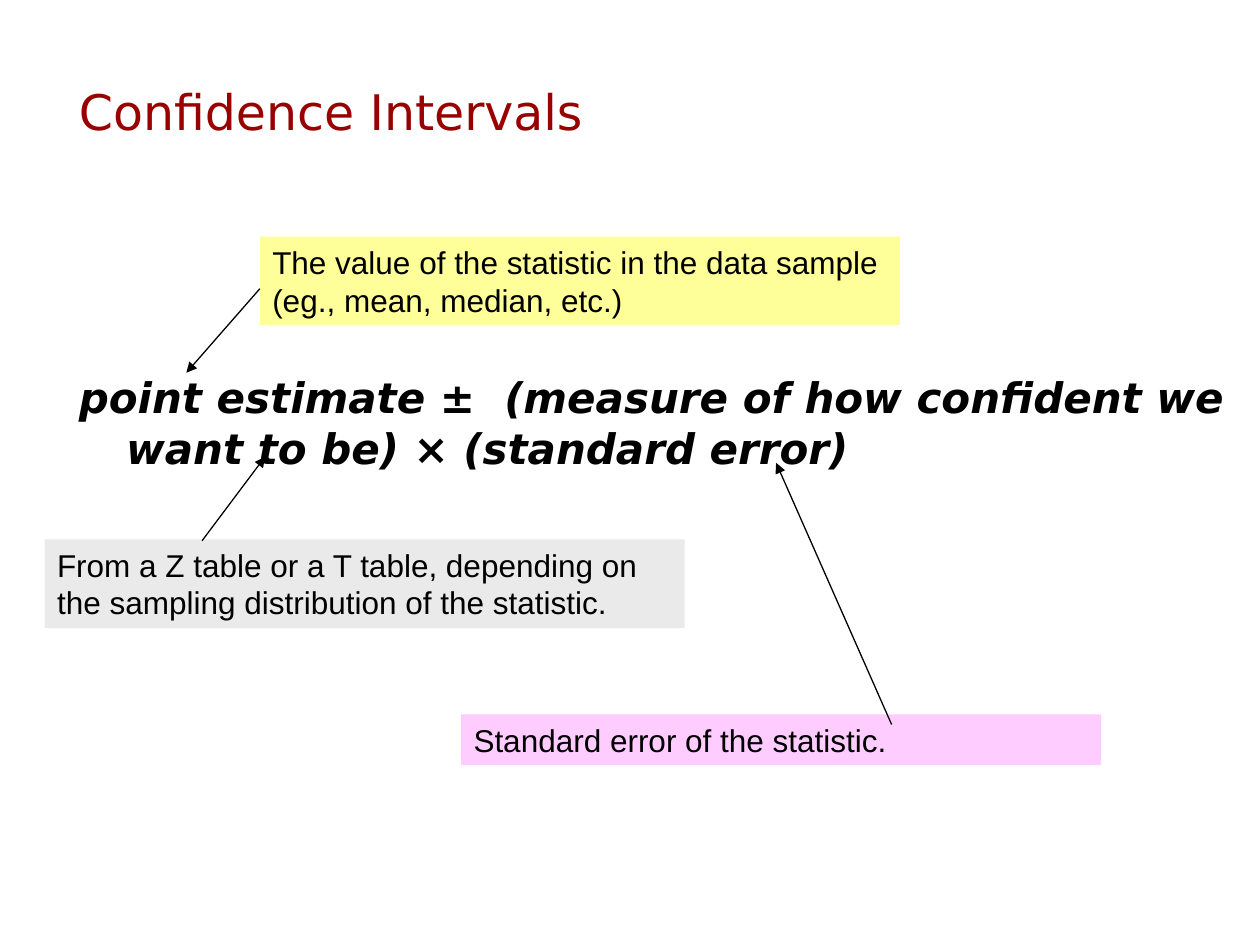
from typing import NamedTuple

from lxml import etree
from pptx import Presentation
from pptx.dml.color import RGBColor
from pptx.enum.shapes import MSO_CONNECTOR, MSO_SHAPE
from pptx.enum.text import MSO_ANCHOR, PP_ALIGN
from pptx.oxml.ns import qn
from pptx.util import Pt

RECT = MSO_SHAPE.RECTANGLE
STRAIGHT = MSO_CONNECTOR.STRAIGHT
TOP, MIDDLE = MSO_ANCHOR.TOP, MSO_ANCHOR.MIDDLE
LEFT = PP_ALIGN.LEFT

COLORS = {
    "title": "990000",
    "ink": "000000",
    "yellow": "FFFF99",
    "gray": "EAEAEA",
    "pink": "FFCCFF",
}
HEADING_FONT = "DejaVu Sans"
NOTE_FONT = "Arial"
NOTE_WIDTH = 365.75


class Note(NamedTuple):
    """A coloured explanation and the arrow from it to the formula, in points."""
    text: str
    color: str
    left: float
    top: float
    height: float
    start: tuple[float, float]
    end: tuple[float, float]


NOTES = [
    Note("The value of the statistic in the data sample (eg., mean, median, etc.)",
         "yellow", 148.5, 135.25, 50.5, (148.5, 165), (106.5, 213)),
    Note("From a Z table or a T table, depending on the sampling distribution "
         "of the statistic.",
         "gray", 25.5, 308.25, 50.75, (115.5, 309), (151.5, 261)),
    Note("Standard error of the statistic.",
         "pink", 263.5, 408.25, 29, (509.5, 414), (443.5, 264.5)),
]


def rgb(name: str) -> RGBColor:
    return RGBColor.from_string(COLORS[name])


def write(s, text: str, *, font: str, size: float, color: str = "ink",
          bold: bool = False, italic: bool = False, anchor=TOP,
          hanging: float = 0) -> None:
    """Fill a shape with one left-aligned paragraph; hanging is its indent in points."""
    tf = s.text_frame
    tf.word_wrap = True
    tf.vertical_anchor = anchor
    p = tf.paragraphs[0]
    p.alignment = LEFT
    if hanging:
        pPr = p._p.get_or_add_pPr()
        pPr.set("marL", str(Pt(hanging)))
        pPr.set("indent", str(-Pt(hanging)))
    r = p.add_run()
    r.text = text
    r.font.name = font
    r.font.size = Pt(size)
    r.font.bold = bold
    r.font.italic = italic
    r.font.color.rgb = rgb(color)


def add_arrow(slide, start: tuple[float, float], end: tuple[float, float]) -> None:
    line = slide.shapes.add_connector(STRAIGHT, *(Pt(v) for v in start + end))
    line.line.color.rgb = rgb("ink")
    line.line.width = Pt(0.75)
    etree.SubElement(line.line._get_or_add_ln(), qn("a:tailEnd"), type="triangle")
    etree.SubElement(line._element.spPr, qn("a:effectLst"))


def add_note(slide, note: Note) -> None:
    s = slide.shapes.add_shape(RECT, Pt(note.left), Pt(note.top),
                               Pt(NOTE_WIDTH), Pt(note.height))
    s.shadow.inherit = False
    s.fill.solid()
    s.fill.fore_color.rgb = rgb(note.color)
    s.line.fill.background()
    write(s, note.text, font=NOTE_FONT, size=18)
    add_arrow(slide, note.start, note.end)


def main() -> None:
    prs = Presentation()
    prs.slide_width, prs.slide_height = Pt(720), Pt(540)
    slide = prs.slides.add_slide(prs.slide_layouts[6])

    title = slide.shapes.add_textbox(Pt(38), Pt(6), Pt(613.5), Pt(115))
    write(title, "Confidence Intervals", font=HEADING_FONT, size=28,
          color="title", anchor=MIDDLE)

    formula = slide.shapes.add_textbox(Pt(38), Pt(209), Pt(675.5), Pt(64))
    write(formula, "point estimate ±  (measure of how confident we want to be) "
          "× (standard error)", font=HEADING_FONT, size=24, bold=True,
          italic=True, hanging=27)

    for note in NOTES:
        add_note(slide, note)

    prs.save("out.pptx")


if __name__ == "__main__":
    main()
